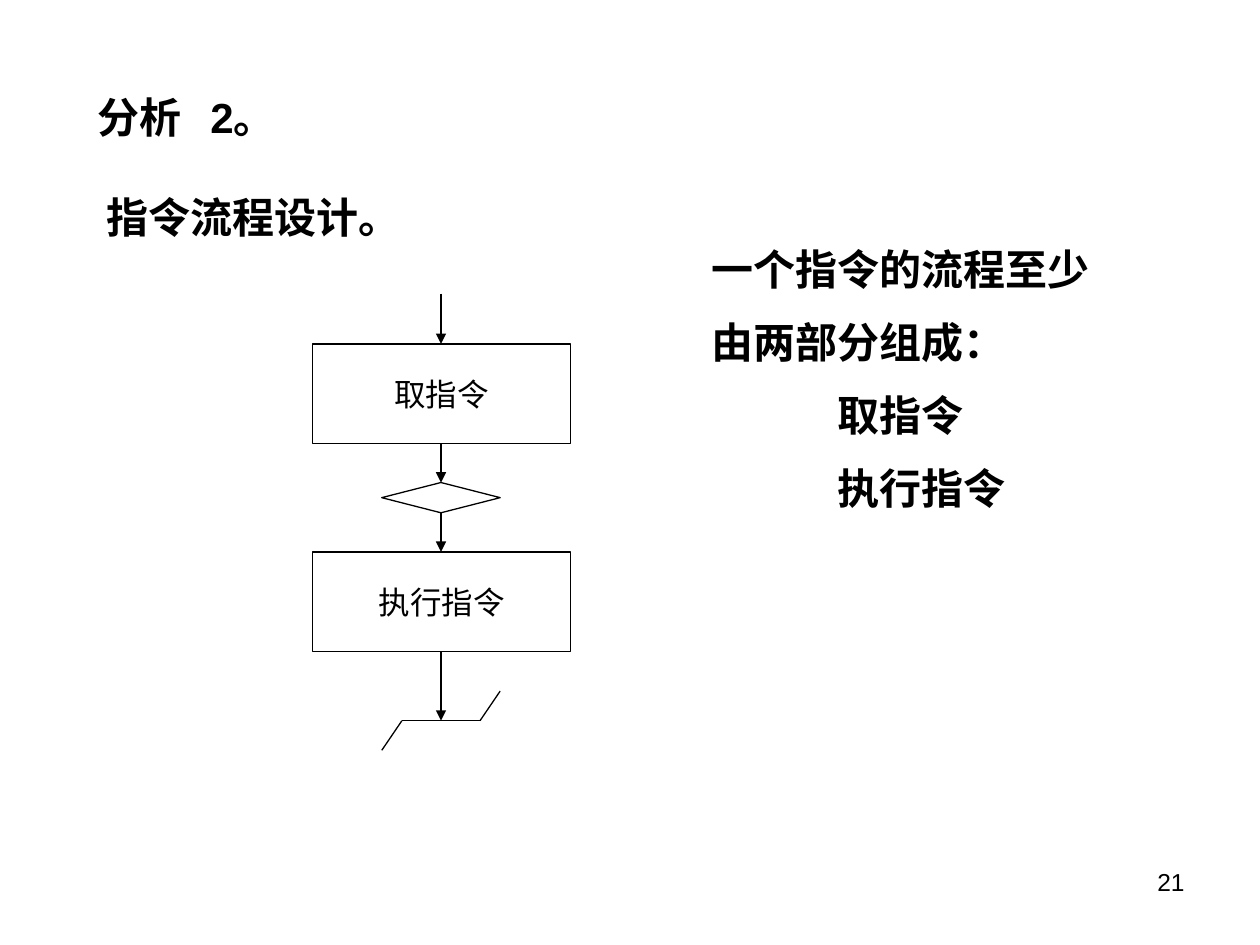
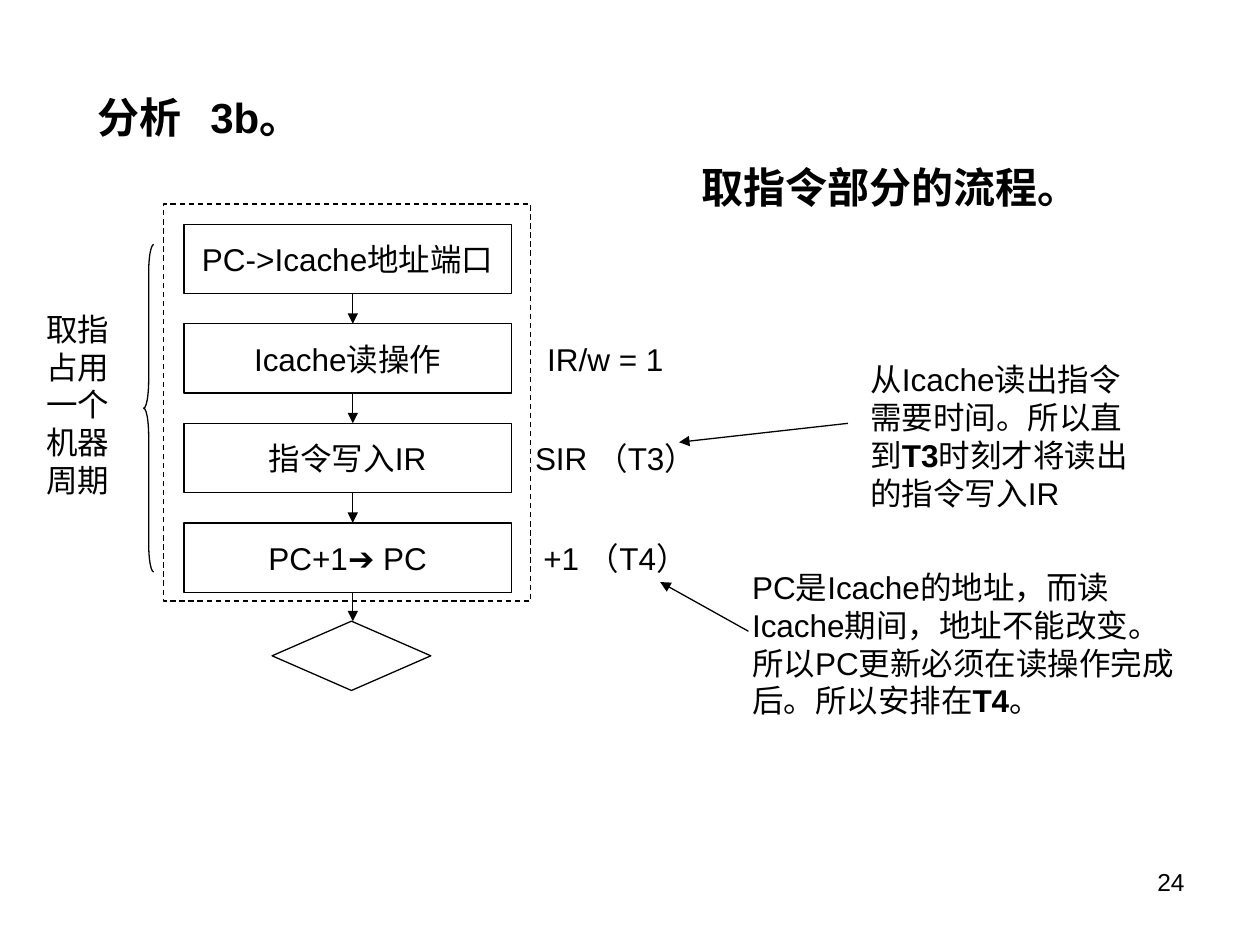
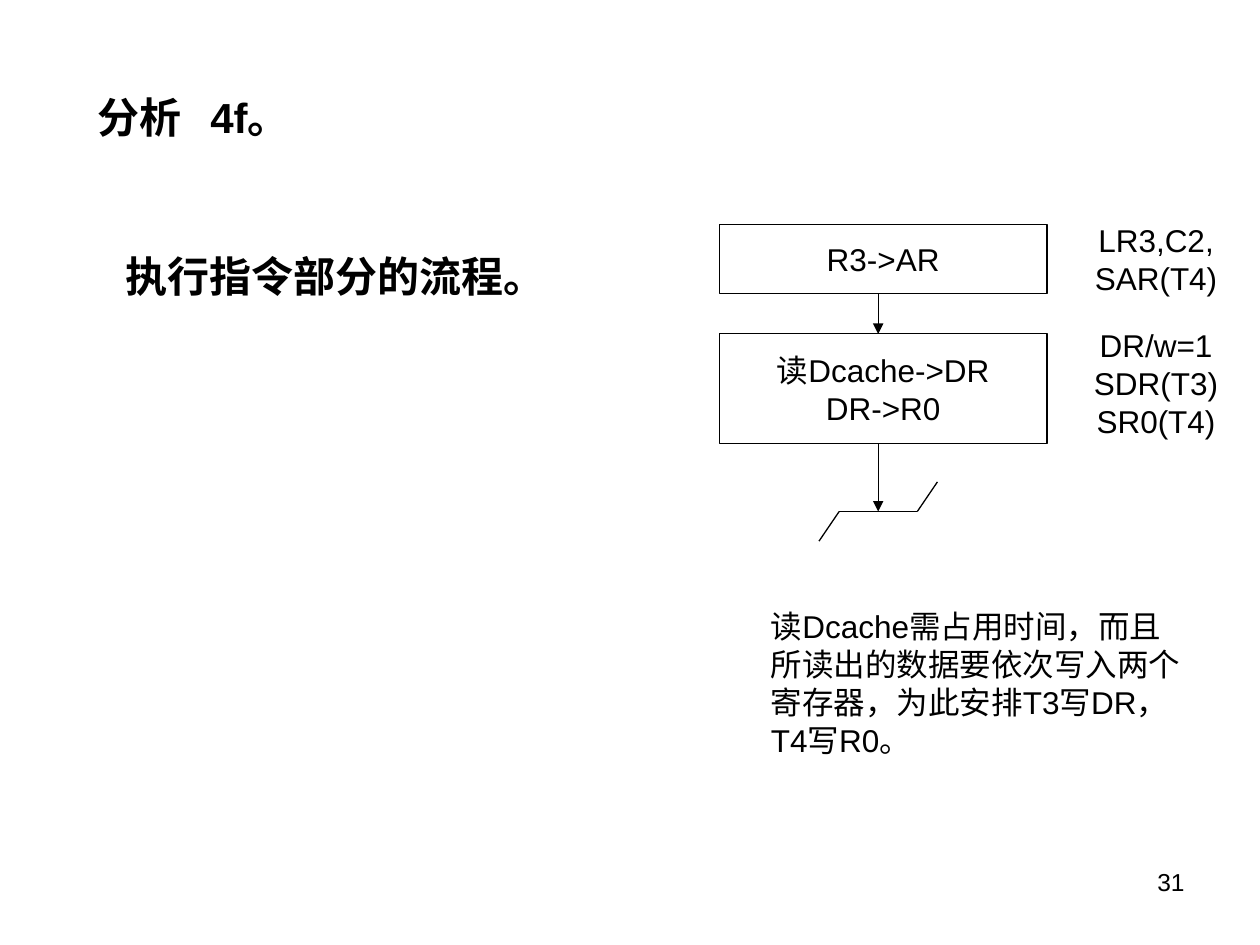
"""Build three slides on instruction flow design."""
from dataclasses import dataclass

from lxml.etree import SubElement
from pptx import Presentation
from pptx.dml.color import RGBColor
from pptx.enum.dml import MSO_LINE
from pptx.enum.shapes import MSO_CONNECTOR, MSO_SHAPE
from pptx.enum.text import MSO_ANCHOR, MSO_AUTO_SIZE, PP_ALIGN
from pptx.oxml.ns import qn
from pptx.util import Inches, Pt


@dataclass(frozen=True)
class Theme:
    """Colours, type sizes and line weight shared by all slides."""
    ink: RGBColor = RGBColor(0, 0, 0)
    font: str = "Arial"
    heading: int = 24
    text: int = 18
    number: int = 14
    line: float = 0.75


THEME = Theme()
TITLE_AREA = (0.67, 0.68, 8.11, 0.5)
NUMBER_AREA = (7.17, 6.83, 2.33, 0.52)
TITLE_TAB = 0.9
LIST_INDENT = 1
STEP_WIDTH, STEP_HEIGHT = 2.6, 0.55
FETCH_TOP, FETCH_PITCH = 1.78, 0.79
LABEL_WIDTH = 1.65
BREAK_INNER, BREAK_OUTER, BREAK_RISE = 0.31, 0.47, 0.235

FETCH_STEPS = ["PC->Icache地址端口", "Icache读操作", "指令写入IR", "PC+1➔ PC"]
FETCH_TOPS = [FETCH_TOP + index * FETCH_PITCH for index in range(len(FETCH_STEPS))]

SLIDES = [
    {
        "title": "分析\t2。",
        "number": 21,
        "subheading": ("指令流程设计。", (0.75, 1.47, 8.11, 0.5)),
        "list": [("一个指令的流程至少", 0), ("由两部分组成：", 0),
                 ("取指令", LIST_INDENT), ("执行指令", LIST_INDENT)],
        "list_area": (5.55, 1.7, 3.94, 2.42),
        "axis": 3.5,
        "entry": 2.33,
        "steps": [("取指令", (2.48, 2.73, 2.05, 0.79)),
                  (None, (3.03, 3.83, 0.94, 0.24)),
                  ("执行指令", (2.48, 4.38, 2.05, 0.79))],
        "break": 5.72,
    },
    {
        "title": "分析\t3b。",
        "number": 24,
        "subheading": ("取指令部分的流程。", (5.47, 1.23, 3.31, 0.5)),
        "axis": 2.8,
        "steps": [(text, (1.46, top, STEP_WIDTH, STEP_HEIGHT))
                  for text, top in zip(FETCH_STEPS, FETCH_TOPS)]
                 + [(None, (2.16, 4.93, 1.26, STEP_HEIGHT))],
        "labels": [("IR/w = 1", (3.98, FETCH_TOPS[1], LABEL_WIDTH, STEP_HEIGHT)),
                   ("SIR （T3）", (4.06, FETCH_TOPS[2], LABEL_WIDTH, STEP_HEIGHT)),
                   ("+1 （T4）", (4.06, FETCH_TOPS[3], LABEL_WIDTH, STEP_HEIGHT))],
        "notes": [("PC是Icache的地址，而读Icache期间，地址不能改变。"
                   "所以PC更新必须在读操作完成后。所以安排在*T4*。", (5.87, 4.46, 3.55, 1.3)),
                  ("从Icache读出指令需要时间。所以直到*T3*时刻才将读出的指令写入IR",
                   (6.81, 2.81, 2.29, 1.3)),
                  ("取指占用一个机器周期", (0.27, 2.41, 0.79, 1.6))],
        "pointers": [((5.94, 5.01), (5.24, 4.62)), ((6.73, 3.36), (5.39, 3.51))],
        "brace": (1.14, 1.94, 0.08, 2.6),
        "frame": (1.3, 1.62, 2.91, 3.15),
    },
    {
        "title": "分析\t4f。",
        "number": 31,
        "subheading": ("执行指令部分的流程。", (0.9, 1.94, 3.78, 0.5)),
        "axis": 6.97,
        "steps": [("R3->AR", (5.71, 1.78, STEP_WIDTH, STEP_HEIGHT)),
                  ("读Dcache->DR\nDR->R0", (5.71, 2.65, STEP_WIDTH, 0.87))],
        "break": 4.06,
        "labels": [("LR3,C2,\nSAR(T4)", (8.35, 1.78, LABEL_WIDTH, STEP_HEIGHT)),
                   ("DR/w=1\nSDR(T3)\nSR0(T4)", (8.35, 2.57, LABEL_WIDTH, 0.94))],
        "notes": [("读Dcache需占用时间，而且所读出的数据要依次写入两个寄存器，"
                   "为此安排T3写DR，T4写R0。", (6.02, 4.77, 3.54, 1.3))],
    },
]


def place(shape, area):
    """Move and size a shape to an area in inches."""
    shape.left, shape.top, shape.width, shape.height = map(Inches, area)


def style_paragraph(paragraph, size, bold=False, align=PP_ALIGN.LEFT):
    """Apply the shared font and an alignment to one paragraph."""
    paragraph.alignment = align
    font = paragraph.font
    font.name, font.size, font.bold = THEME.font, Pt(size), bold
    font.color.rgb = THEME.ink


def prepare_placeholder(placeholder, area):
    """Place a placeholder with its text at the top and no autofit."""
    place(placeholder, area)
    frame = placeholder.text_frame
    frame.auto_size = MSO_AUTO_SIZE.NONE
    frame.vertical_anchor = MSO_ANCHOR.TOP
    return frame


def add_title(slide, text):
    """Fill the title, setting its number at a tab stop."""
    frame = prepare_placeholder(slide.shapes.title, TITLE_AREA)
    paragraph = frame.paragraphs[0]
    paragraph.add_run().text = text
    tabs = SubElement(paragraph._p.get_or_add_pPr(), qn("a:tabLst"))
    SubElement(tabs, qn("a:tab"), pos=str(Inches(TITLE_TAB)), algn="l")
    style_paragraph(paragraph, THEME.heading, bold=True)


def add_list(slide, items, area):
    """Fill the body placeholder with unbulleted, indented lines."""
    frame = prepare_placeholder(slide.placeholders[1], area)
    frame.text = "\n".join(text for text, _ in items)
    for paragraph, (_, indent) in zip(frame.paragraphs, items):
        properties = paragraph._p.get_or_add_pPr()
        properties.set("marL", str(Inches(indent)))
        properties.set("indent", "0")
        SubElement(properties, qn("a:buNone"))
        paragraph.line_spacing = 1.45
        paragraph.space_before = Pt(0)
        style_paragraph(paragraph, THEME.heading, bold=True)


def add_text(slide, text, area, size=THEME.text, bold=False, align=PP_ALIGN.LEFT):
    """Add a wrapped text box; words between asterisks are bold."""
    frame = slide.shapes.add_textbox(*map(Inches, area)).text_frame
    frame.word_wrap = True
    paragraph = frame.paragraphs[0]
    for index, part in enumerate(text.split("*")):
        run = paragraph.add_run()
        run.text = part
        if index % 2:
            run.font.bold = True
    style_paragraph(paragraph, size, bold, align)


def center_text(shape, text):
    """Write unwrapped lines in the middle of a shape."""
    frame = shape.text_frame
    frame.text = text
    frame.word_wrap = False
    frame.vertical_anchor = MSO_ANCHOR.MIDDLE
    for paragraph in frame.paragraphs:
        style_paragraph(paragraph, THEME.text, align=PP_ALIGN.CENTER)


def add_outline(slide, kind, area):
    """Add an unfilled shape with the shared outline."""
    shape = slide.shapes.add_shape(kind, *map(Inches, area))
    shape.shadow.inherit = False
    shape.fill.background()
    shape.line.color.rgb = THEME.ink
    shape.line.width = Pt(THEME.line)
    return shape


def add_line(slide, start, end, arrow=False):
    """Add a straight line, with an arrowhead at its end if asked."""
    connector = slide.shapes.add_connector(
        MSO_CONNECTOR.STRAIGHT, *map(Inches, (*start, *end)))
    connector.line.color.rgb = THEME.ink
    connector.line.width = Pt(THEME.line)
    if arrow:
        SubElement(connector.line._get_or_add_ln(), qn("a:tailEnd"), type="triangle")
    SubElement(connector._element.spPr, qn("a:effectLst"))


def add_flow(slide, content):
    """Draw the steps, the arrows between them and the closing break mark."""
    axis = content["axis"]
    bottom = content.get("entry")
    for text, area in content["steps"]:
        if text:
            center_text(add_outline(slide, MSO_SHAPE.RECTANGLE, area), text)
        else:
            add_outline(slide, MSO_SHAPE.DIAMOND, area)
        if bottom is not None:
            add_line(slide, (axis, bottom), (axis, area[1]), arrow=True)
        bottom = area[1] + area[3]
    if "break" in content:
        level = content["break"]
        add_line(slide, (axis, bottom), (axis, level), arrow=True)
        add_line(slide, (axis - BREAK_INNER, level), (axis + BREAK_INNER, level))
        for side in (-1, 1):
            add_line(slide, (axis + side * BREAK_INNER, level),
                     (axis + side * BREAK_OUTER, level - side * BREAK_RISE))


def build_slide(presentation, content):
    """Build one slide from its content."""
    layout = presentation.slide_layouts[1 if "list" in content else 5]
    slide = presentation.slides.add_slide(layout)
    add_title(slide, content["title"])
    if "list" in content:
        add_list(slide, content["list"], content["list_area"])
    add_text(slide, *content["subheading"], THEME.heading, bold=True)
    add_flow(slide, content)
    for text, area in content.get("labels", []):
        center_text(slide.shapes.add_textbox(*map(Inches, area)), text)
    for text, area in content.get("notes", []):
        add_text(slide, text, area)
    for start, end in content.get("pointers", []):
        add_line(slide, start, end, arrow=True)
    if "brace" in content:
        brace = add_outline(slide, MSO_SHAPE.LEFT_BRACE, content["brace"])
        brace.adjustments[0] = 2.75
    if "frame" in content:
        frame = add_outline(slide, MSO_SHAPE.RECTANGLE, content["frame"])
        frame.line.dash_style = MSO_LINE.DASH
    add_text(slide, str(content["number"]), NUMBER_AREA, THEME.number, align=PP_ALIGN.RIGHT)


def main():
    """Build and save the presentation."""
    presentation = Presentation()
    presentation.slide_width, presentation.slide_height = Inches(10), Inches(7.5)
    for content in SLIDES:
        build_slide(presentation, content)
    presentation.save("out.pptx")


if __name__ == "__main__":
    main()
